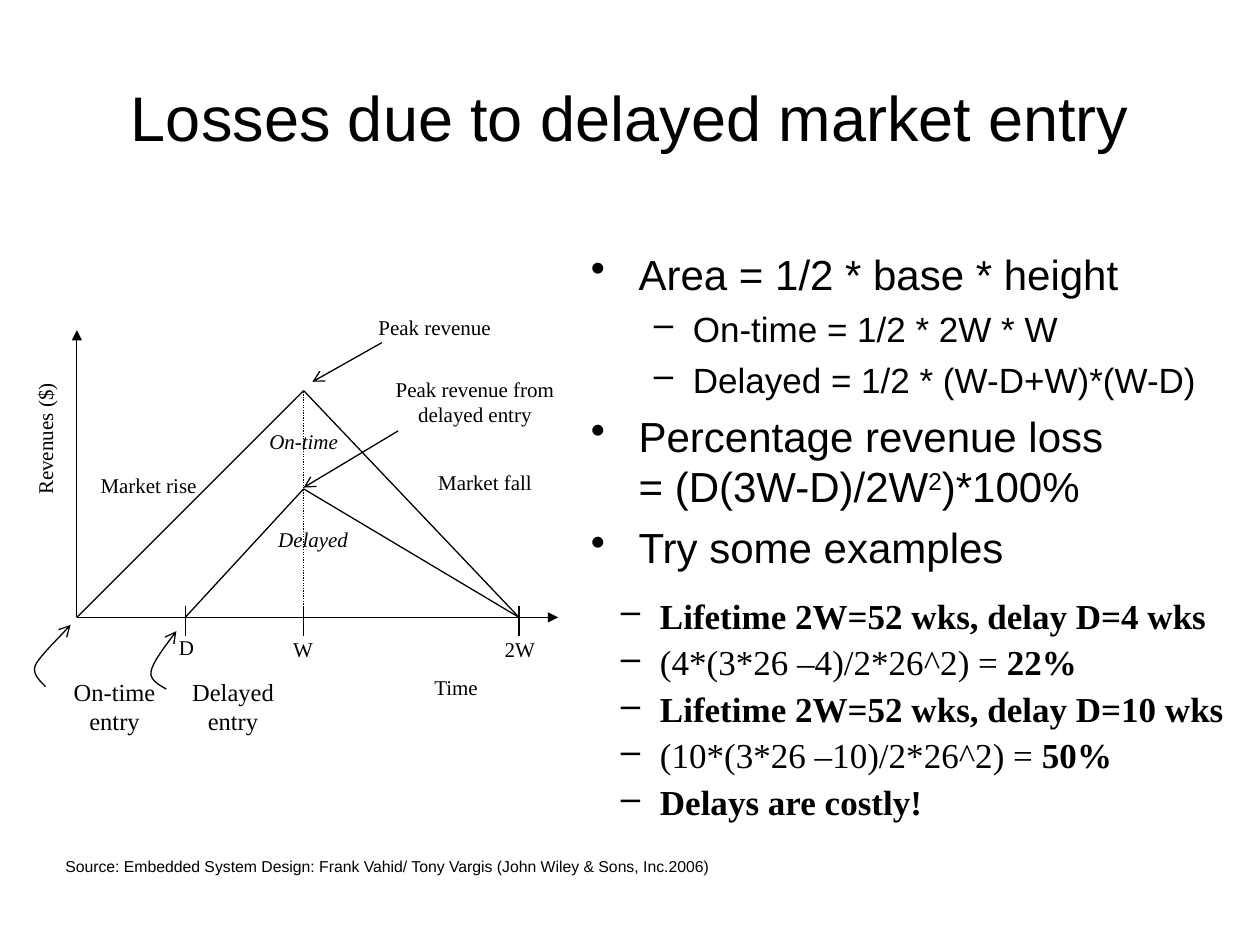
from lxml.etree import SubElement
from pptx import Presentation
from pptx.dml.color import RGBColor
from pptx.enum.dml import MSO_LINE_DASH_STYLE as Dash
from pptx.enum.shapes import MSO_CONNECTOR as Connector
from pptx.enum.text import MSO_ANCHOR as Anchor, PP_ALIGN as Align
from pptx.oxml.ns import qn
from pptx.util import Inches, Pt

BLACK = RGBColor(0, 0, 0)
SANS = "Arial"
SERIF = "Times New Roman"


def add_label(text, left, top, width, height, size=12, italic=False):
    box = slide.shapes.add_textbox(Inches(left), Inches(top), Inches(width), Inches(height))
    frame = box.text_frame
    frame.word_wrap = True
    frame.margin_left = frame.margin_right = frame.margin_top = frame.margin_bottom = 0
    frame.text = text
    for paragraph in frame.paragraphs:
        paragraph.alignment = Align.CENTER
        font = paragraph.runs[0].font
        font.name, font.size, font.italic = SERIF, Pt(size), italic
        font.color.rgb = BLACK
    return box


def style_line(shape, arrow=None):
    shape.line.color.rgb = BLACK
    shape.line.width = Pt(0.75)
    properties = shape.element.spPr
    if arrow:
        SubElement(properties.find(qn("a:ln")), qn("a:tailEnd"), type=arrow)
    if properties.find(qn("a:effectLst")) is None:
        SubElement(properties, qn("a:effectLst"))


presentation = Presentation()
presentation.slide_width = Inches(10)
presentation.slide_height = Inches(7.5)
slide = presentation.slides.add_slide(presentation.slide_layouts[5])

title = slide.shapes.title
title.left, title.top, title.width, title.height = Inches(0.5), Inches(0.3), Inches(9), Inches(1.25)
title.text_frame.text = "Losses due to delayed market entry"
title.text_frame.vertical_anchor = Anchor.MIDDLE
title_paragraph = title.text_frame.paragraphs[0]
title_paragraph.alignment = Align.CENTER
title_font = title_paragraph.runs[0].font
title_font.name, title_font.size = SANS, Pt(36)
title_font.color.rgb = BLACK

origin_x, delay_x, peak_x, end_x = 0.61, 1.47, 2.41, 4.12
base_y, peak_y, delayed_peak_y = 4.9, 3.1, 3.88
lines = [
    (origin_x, base_y, 4.43, base_y, "triangle"),
    (origin_x, base_y, origin_x, 2.62, "triangle"),
    (origin_x, base_y, peak_x, peak_y, None),
    (peak_x, peak_y, end_x, base_y, None),
    (delay_x, base_y, peak_x, delayed_peak_y, None),
    (peak_x, delayed_peak_y, end_x, base_y, None),
    (3.03, 2.72, 2.48, 3.03, "arrow"),
    (3.16, 3.42, peak_x, 3.87, "arrow"),
]
lines += [(x, 4.81, x, 5.05, None) for x in (delay_x, peak_x, end_x)]
for x1, y1, x2, y2, arrow in lines:
    connector = slide.shapes.add_connector(
        Connector.STRAIGHT, Inches(x1), Inches(y1), Inches(x2), Inches(y2))
    style_line(connector, arrow)

peak_marker = slide.shapes.add_connector(
    Connector.STRAIGHT, Inches(peak_x), Inches(base_y), Inches(peak_x), Inches(peak_y))
style_line(peak_marker)
peak_marker.line.dash_style = Dash.ROUND_DOT

entry_curves = [
    [(0.36, 5.45), (0.34, 5.42), (0.25, 5.36), (0.28, 5.28), (0.32, 5.2), (0.5, 5.03), (0.56, 4.96)],
    [(1.32, 5.47), (1.29, 5.45), (1.18, 5.4), (1.2, 5.33), (1.21, 5.25), (1.35, 5.08), (1.4, 5.01)],
]
steps = 10
for controls in entry_curves:
    points = []
    for start in (0, 3):
        for step in range(1, steps + 1):
            t = step / steps
            weights = ((1 - t) ** 3, 3 * t * (1 - t) ** 2, 3 * t ** 2 * (1 - t), t ** 3)
            segment = list(zip(weights, controls[start:start + 4]))
            points.append((Inches(sum(w * x for w, (x, y) in segment)),
                           Inches(sum(w * y for w, (x, y) in segment))))
    builder = slide.shapes.build_freeform(Inches(controls[0][0]), Inches(controls[0][1]))
    builder.add_line_segments(points, close=False)
    curve = builder.convert_to_shape()
    curve.fill.background()
    curve.shadow.inherit = False
    style_line(curve, "arrow")

add_label("Peak revenue", 2.63, 2.5, 1.64, 0.28)
add_label("Peak revenue from delayed entry", 2.95, 2.99, 1.64, 0.54)
add_label("Market rise", 0.75, 3.75, 0.86, 0.55)
add_label("Market fall", 3.42, 3.73, 0.86, 0.55)
add_label("D", 1.33, 5.04, 0.3, 0.24)
add_label("W", 2.25, 5.05, 0.31, 0.31)
add_label("2W", 3.97, 5.05, 0.31, 0.31)
add_label("Time", 2.8, 5.35, 1.64, 0.31)
add_label("On-time", 2.02, 3.4, 0.78, 0.31, italic=True)
add_label("Delayed", 1.94, 4.18, 1.09, 0.31, italic=True)
add_label("On-time\nentry", 0.51, 5.37, 0.8, 0.5, size=14)
add_label("Delayed\nentry", 1.45, 5.37, 0.8, 0.5, size=14)
add_label("Revenues ($)", -0.41, 3.33, 1.64, 0.31).rotation = 270

formulas = [
    (0, ["Area = 1/2 * base * height"]),
    (1, ["On-time = 1/2 * 2W * W"]),
    (1, ["Delayed = 1/2 * (W-D+W)*(W-D)"]),
    (0, ["Percentage revenue loss\v= (D(3W-D)/2W", "2", ")*100%"]),
    (0, ["Try some examples"]),
]
examples = [
    (1, ["Lifetime 2W=52 wks, delay D=4 wks"]),
    (1, ["(4*(3*26 –4)/2*26^2) = ", "22%"]),
    (1, ["Lifetime 2W=52 wks, delay D=10 wks"]),
    (1, ["(10*(3*26 –10)/2*26^2) = ", "50%"]),
    (1, ["Delays are costly!"]),
]
level_styles = [("•", 0.38, 0.38, 24, 6), ("–", 0.81, 0.31, 20, 5)]
for items, font_name, left, top, width, height in [
    (formulas, SANS, 4.59, 1.92, 5.41, 2.41),
    (examples, SERIF, 4.33, 4.67, 5.67, 2.08),
]:
    box = slide.shapes.add_textbox(Inches(left), Inches(top), Inches(width), Inches(height))
    frame = box.text_frame
    frame.word_wrap = True
    for index, (level, texts) in enumerate(items):
        bullet, margin, hanging, size, gap = level_styles[level]
        paragraph = frame.add_paragraph() if index else frame.paragraphs[0]
        paragraph.text = texts[0]
        for text in texts[1:]:
            paragraph.add_run().text = text
        paragraph.level = level
        if index:
            paragraph.space_before = Pt(gap)
            if items is examples:
                paragraph.line_spacing = 0.9
        properties = paragraph._p.get_or_add_pPr()
        properties.set("marL", str(Inches(margin)))
        properties.set("indent", str(-Inches(hanging)))
        SubElement(properties, qn("a:buChar"), char=bullet)
        for run in paragraph.runs:
            run.font.name, run.font.size = font_name, Pt(size)
            run.font.color.rgb = BLACK
            run.font.bold = items is examples and not run.text.startswith("(")
            if run.text == "2":
                run.font._element.set("baseline", "30000")

source = slide.shapes.add_textbox(Inches(0.42), Inches(6.75), Inches(5.36), Inches(0.25))
source.text_frame.word_wrap = False
source.text_frame.text = (
    "Source: Embedded System Design: Frank Vahid/ Tony Vargis (John Wiley & Sons, Inc.2006)")
source_font = source.text_frame.paragraphs[0].runs[0].font
source_font.name, source_font.size = SANS, Pt(9)
source_font.color.rgb = BLACK

presentation.save("out.pptx")
